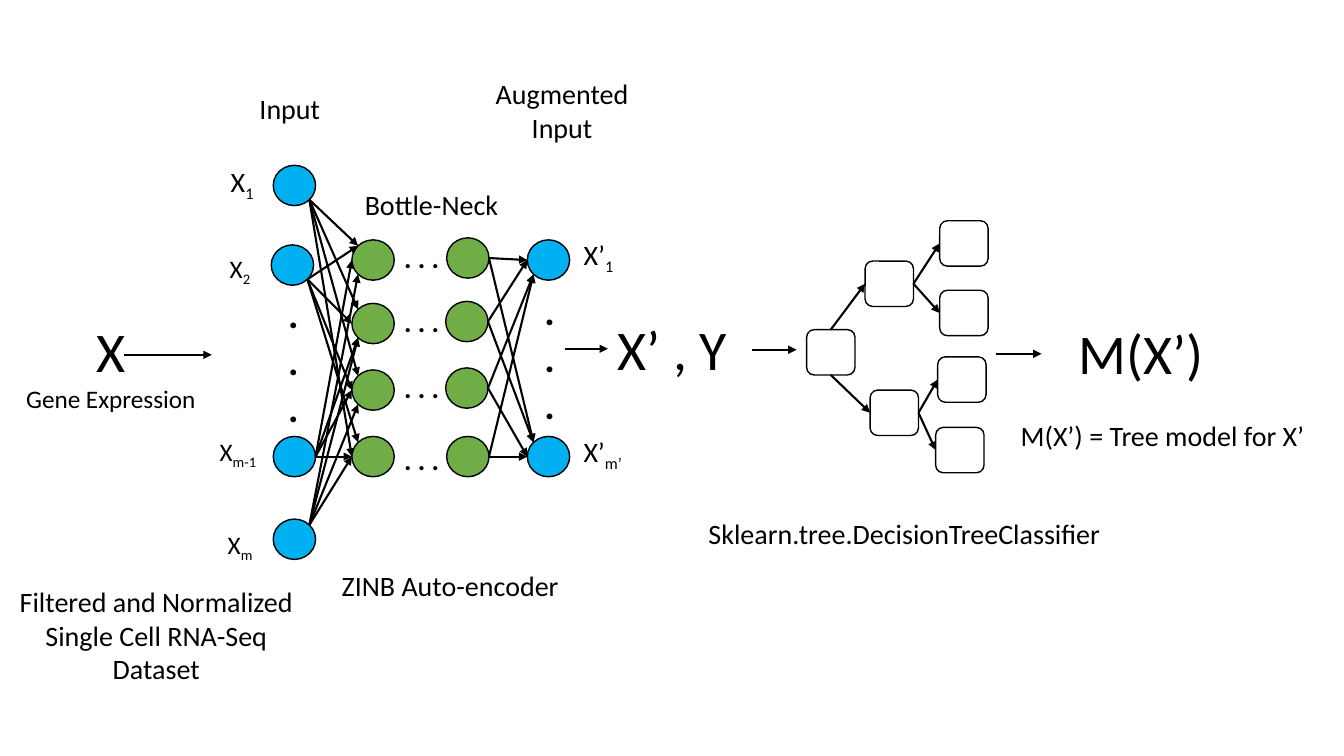
from lxml.etree import SubElement
from pptx import Presentation
from pptx.dml.color import RGBColor
from pptx.enum.shapes import MSO_CONNECTOR, MSO_SHAPE
from pptx.enum.text import MSO_AUTO_SIZE, PP_ALIGN
from pptx.oxml.ns import qn
from pptx.util import Inches, Pt

COLORS = {"ink": "000000", "paper": "FFFFFF", "data": "00B0F0", "hidden": "70AD47"}
NEURON_SIZE = (0.42, 0.4)
TREE_SIZE = (0.48, 0.45)
DIAGONAL = 0.5 ** 0.5
COMPASS = {
    "W": (-1, 0), "E": (1, 0),
    "NW": (-DIAGONAL, -DIAGONAL), "NE": (DIAGONAL, -DIAGONAL),
    "SW": (-DIAGONAL, DIAGONAL), "SE": (DIAGONAL, DIAGONAL),
}
TOP, LEFT, BOTTOM, RIGHT = range(4)


def color(name):
    """Return the named colour as an RGB value."""
    return RGBColor.from_string(COLORS[name])


def apply_format(target, values):
    """Set every attribute in values on target."""
    for name, value in values.items():
        setattr(target, name, value)


def rim_point(neuron, direction):
    """Return the point on a neuron's rim in a compass direction."""
    across, down = COMPASS[direction]
    return (int(neuron.left + neuron.width * (1 + across) / 2),
            int(neuron.top + neuron.height * (1 + down) / 2))


class Diagram:
    """Hold the style and the slide being drawn."""

    font = {"name": "Calibri"}
    frame = {"auto_size": MSO_AUTO_SIZE.SHAPE_TO_FIT_TEXT}

    def __init__(self, slide):
        """Keep the current slide."""
        self.slide = slide

    def node(self, kind, position, size, fill):
        """Draw an outlined preset shape."""
        box = [Inches(value) for value in (*position, *size)]
        shape = self.slide.shapes.add_shape(kind, *box)
        shape.shadow.inherit = False
        shape.fill.solid()
        shape.fill.fore_color.rgb = color(fill)
        shape.line.color.rgb = color("ink")
        shape.line.width = Pt(1)
        return shape

    def neurons(self, positions, fill):
        """Draw one layer of neurons."""
        return [self.node(MSO_SHAPE.OVAL, position, NEURON_SIZE, fill)
                for position in positions]

    def arrow(self, start, end):
        """Draw an arrow between two points."""
        connector = self.slide.shapes.add_connector(MSO_CONNECTOR.STRAIGHT, *start, *end)
        connector.line.color.rgb = color("ink")
        connector.line.width = Pt(1.5)
        SubElement(connector.line._get_or_add_ln(), qn("a:tailEnd"), type="triangle")
        SubElement(connector.element.spPr, qn("a:effectLst"))
        return connector

    def branch(self, parent, site, child):
        """Join a tree node to its child's left side."""
        connector = self.arrow((0, 0), (0, 0))
        connector.begin_connect(parent, site)
        connector.end_connect(child, LEFT)

    def synapses(self, sources, targets, links):
        """Join layers; each link holds an exit side and the entry sides."""
        for source, (exit_side, entry_sides) in zip(sources, links):
            for target, side in zip(targets, entry_sides.split()):
                self.arrow(rim_point(source, exit_side), rim_point(target, side))

    def text(self, box, lines, wrap=False, centered=False, bold=False):
        """Write (text, size) lines; an underscore starts a subscript."""
        shape = self.slide.shapes.add_textbox(*[Inches(value) for value in box])
        frame = shape.text_frame
        apply_format(frame, {**self.frame, "word_wrap": wrap})
        for index, (content, size) in enumerate(lines):
            paragraph = frame.add_paragraph() if index else frame.paragraphs[0]
            paragraph.alignment = PP_ALIGN.CENTER if centered else PP_ALIGN.LEFT
            for part, piece in enumerate(content.split("_")):
                run = paragraph.add_run()
                run.text = piece
                apply_format(run.font, {**self.font, "size": Pt(size), "bold": bold})
                run.font.color.rgb = color("ink")
                if part:
                    run._r.get_or_add_rPr().set("baseline", "-25000")


def draw_tree(diagram):
    """Draw the decision tree."""
    root, upper, lower, *leaves = [
        diagram.node(MSO_SHAPE.ROUNDED_RECTANGLE, position, TREE_SIZE, "paper")
        for position in ((8, 3.27), (8.58, 2.59), (8.63, 3.87), (9.32, 2.19),
                         (9.32, 2.88), (9.3, 3.54), (9.28, 4.24))]
    diagram.branch(root, TOP, upper)
    diagram.branch(root, BOTTOM, lower)
    for index, leaf in enumerate(leaves):
        diagram.branch(upper if index < 2 else lower, RIGHT, leaf)


def draw_network(diagram):
    """Draw the auto-encoder layers, their dots and their links."""
    inputs = diagram.neurons([(2.71, 1.64), (2.69, 2.43), (2.71, 4.33), (2.71, 5.15)], "data")
    encoder = diagram.neurons([(3.49, top) for top in (2.38, 3.01, 3.67, 4.33)], "hidden")
    decoder = diagram.neurons([(4.43, 2.36), (4.42, 2.99), (4.42, 3.65), (4.43, 4.33)], "hidden")
    outputs = diagram.neurons([(5.23, 2.38), (5.23, 4.33)], "data")
    for left, top in ((5.3, 2.79), (2.76, 2.82)):
        diagram.text((left, top, 0.31, 1.51), [(".", 28)] * 3, bold=True)
    for top in (2.34, 2.97, 3.63, 4.34):
        diagram.text((3.91, top, 0.55, 0.44), [(". . .", 20)], bold=True)
    diagram.synapses(inputs, encoder, [("SE", "NW NW NW W"), ("SE", "NW W W NW"),
                                       ("E", "W SW W W"), ("NE", "SW SW SW W")])
    diagram.synapses(decoder, outputs, [("E", "W NW")] * 2 + [("E", "SW W")] * 2)


def draw_labels(diagram):
    """Write the variables, captions and flow arrows."""
    diagram.text((0.15, 3.09, 1.9, 1.08), [("X", 40), ("Gene Expression", 18)], centered=True)
    variables = [
        ("M(X’)", 40, (10.6, 3.11, 1.44, 0.77)),
        ("X’ , Y", 40, (6.03, 3.07, 1.53, 0.77)),
        ("X_1", 20, (2.19, 1.58, 0.44, 0.44)),
        ("X_2", 18, (2.18, 2.46, 0.42, 0.4)),
        ("X_m-1", 18, (2.08, 4.28, 0.61, 0.4)),
        ("X_m", 18, (2.16, 5.2, 0.47, 0.4)),
        ("X’_1", 20, (5.69, 2.31, 0.51, 0.44)),
        ("X’_m’", 20, (5.69, 4.26, 0.6, 0.44)),
    ]
    for content, size, box in variables:
        diagram.text(box, [(content, size)])
    captions = [
        ("Filtered and Normalized Single Cell RNA-Seq Dataset", (-0.04, 5.75, 3.18, 1.11)),
        ("Sklearn.tree.DecisionTreeClassifier", (6.69, 5.07, 4.56, 0.44)),
        ("M(X’) = Tree model for X’", (9.73, 4.1, 3.6, 0.44)),
        ("Input", (2.36, 0.86, 1.03, 0.44)),
        ("Bottle-Neck", (3.34, 1.81, 1.88, 0.44)),
        ("Augmented Input", (4.71, 0.71, 1.73, 0.77)),
        ("ZINB Auto-encoder", (3.14, 5.59, 2.65, 0.44)),
    ]
    for content, box in captions:
        diagram.text(box, [(content, 20)], wrap=True, centered=True)
    for start, end, height in ((1.23, 2.1, 3.52), (5.6, 6.03, 3.46),
                               (7.46, 7.9, 3.47), (9.88, 10.33, 3.51)):
        diagram.arrow((Inches(start), Inches(height)), (Inches(end), Inches(height)))


def main():
    """Build and save the slide."""
    presentation = Presentation()
    apply_format(presentation, {"slide_width": Inches(13.33), "slide_height": Inches(7.5)})
    diagram = Diagram(presentation.slides.add_slide(presentation.slide_layouts[6]))
    draw_tree(diagram)
    draw_network(diagram)
    draw_labels(diagram)
    presentation.save("out.pptx")


main()
